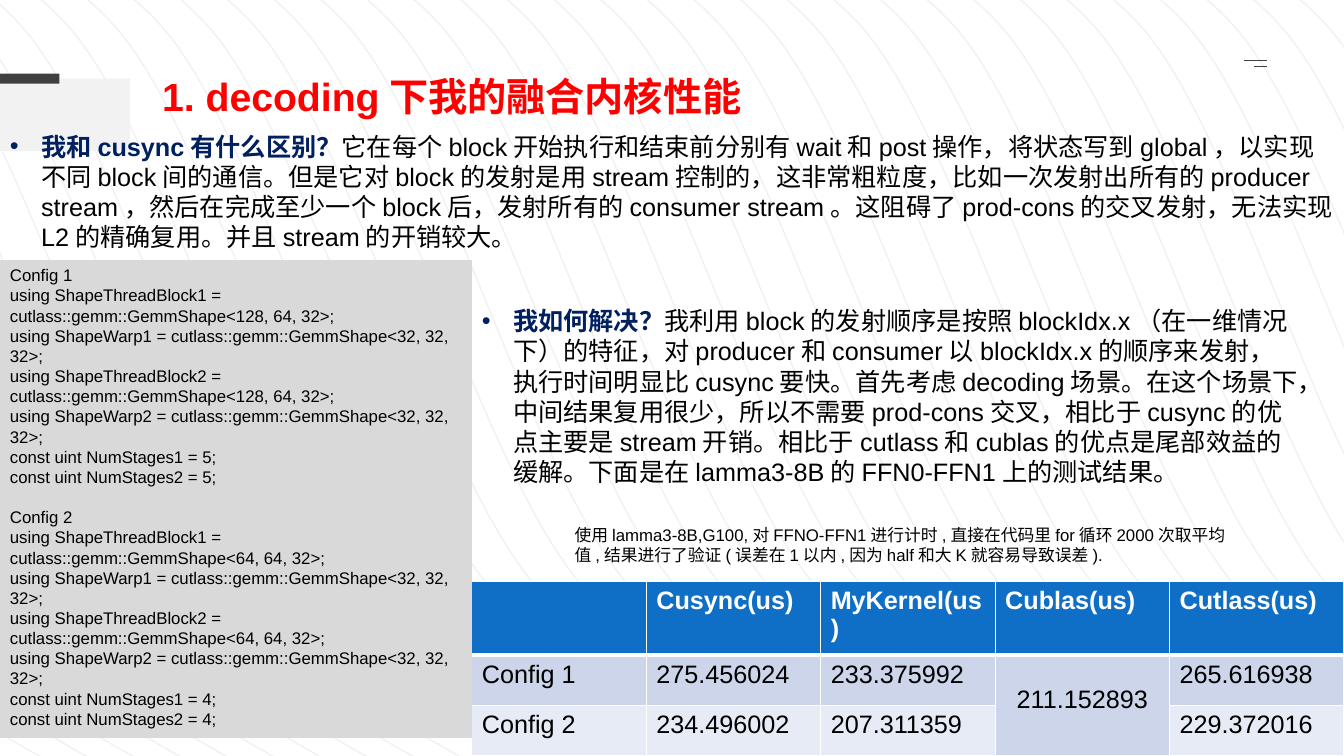
from dataclasses import dataclass
from typing import Optional

import lxml.etree
import pptx
import pptx.dml.color
import pptx.enum.shapes
import pptx.enum.text
import pptx.oxml.ns
import pptx.util

Inches = pptx.util.Inches
Pt = pptx.util.Pt
qn = pptx.oxml.ns.qn


@dataclass(frozen=True)
class Theme:
    font: str = "Arial"
    title_size: int = 28
    body_size: int = 18
    small_size: int = 12
    black: str = "000000"
    white: str = "FFFFFF"
    red: str = "FF0000"
    navy: str = "002060"
    blue: str = "0F6FC6"
    dark_grey: str = "404040"
    panel_grey: str = "D9D9D9"
    pale_grey: str = "F2F2F2"
    row_tints: tuple[str, str] = ("CCD5EA", "E7EBF5")


@dataclass(frozen=True)
class Box:
    left: float
    top: float
    width: float
    height: float

    def lengths(self) -> tuple:
        return tuple(Inches(v) for v in (self.left, self.top, self.width, self.height))


@dataclass(frozen=True)
class BulletNote:
    box: Box
    question: str
    answer: str


@dataclass(frozen=True)
class KernelConfig:
    number: int
    rows: int
    stages: int

    def lines(self) -> list[str]:
        lines = [f"Config {self.number}"]
        for part in (1, 2):
            lines.append(f"using ShapeThreadBlock{part} = cutlass::gemm::GemmShape<{self.rows}, 64, 32>;")
            lines.append(f"using ShapeWarp{part} = cutlass::gemm::GemmShape<32, 32, 32>;")
        return lines + [f"const uint NumStages{part} = {self.stages};" for part in (1, 2)]


THEME = Theme()

NOTES = (
    BulletNote(
        Box(0, 1.25, 13.33, 1.61),
        "我和cusync有什么区别？",
        "它在每个block开始执行和结束前分别有wait和post操作，将状态写到global，以实现不同block间的通信。"
        "但是它对block的发射是用stream控制的，这非常粗粒度，比如一次发射出所有的producer stream，"
        "然后在完成至少一个block后，发射所有的consumer stream。这阻碍了prod-cons的交叉发射，"
        "无法实现L2的精确复用。并且stream的开销较大。"),
    BulletNote(
        Box(4.68, 2.98, 8.31, 1.92),
        "我如何解决？",
        "我利用block的发射顺序是按照blockIdx.x（在一维情况下）的特征，对producer和consumer以blockIdx.x的顺序来发射，"
        "执行时间明显比cusync要快。首先考虑decoding场景。在这个场景下，中间结果复用很少，所以不需要prod-cons交叉，"
        "相比于cusync的优点主要是stream开销。相比于cutlass和cublas的优点是尾部效益的缓解。"
        "下面是在lamma3-8B的FFN0-FFN1上的测试结果。"),
)
CONFIGS = (KernelConfig(1, 128, 5), KernelConfig(2, 64, 4))
TIMINGS = (
    ("", "Cusync(us)", "MyKernel(us)", "Cublas(us)", "Cutlass(us)"),
    ("Config 1", "275.456024", "233.375992", "211.152893", "265.616938"),
    ("Config 2", "234.496002", "207.311359", "", "229.372016"),
)

# Background wave: a start point, then cubic segments of three points each
WAVE = ((0, -0.27), (0.93, -0.51), (1.86, -0.75), (2.77, 0.24), (3.68, 1.23),
        (4.5, 4.38), (5.46, 5.67), (6.42, 6.96), (7.48, 7.47), (8.54, 7.98))
WAVE_COUNT, WAVE_FIRST, WAVE_LAST = 40, -7.2, 10.84


def rgb(colour: str) -> pptx.dml.color.RGBColor:
    return pptx.dml.color.RGBColor.from_string(colour)


def style(font, size: int, colour: Optional[str] = None, bold: Optional[bool] = None) -> None:
    font.name, font.size, font.bold = THEME.font, Pt(size), bold
    if colour:
        font.color.rgb = rgb(colour)


def curve_segments(shape) -> None:
    """Turn every three straight segments of a freeform into one cubic curve."""
    segments = list(shape._element.iter(qn("a:lnTo")))
    for start in range(0, len(segments), 3):
        curve = lxml.etree.Element(qn("a:cubicBezTo"))
        segments[start].addprevious(curve)
        for segment in segments[start:start + 3]:
            curve.append(segment[0])
            segment.getparent().remove(segment)


def add_waves(slide) -> None:
    gap = (WAVE_LAST - WAVE_FIRST) / (WAVE_COUNT - 1)
    for index in range(WAVE_COUNT):
        offset = WAVE_FIRST + index * gap
        vertices = [(Inches(x + offset), Inches(y)) for x, y in WAVE]
        builder = slide.shapes.build_freeform(*vertices[0])
        builder.add_line_segments(vertices[1:], close=False)
        wave = builder.convert_to_shape()
        curve_segments(wave)
        wave.shadow.inherit = False
        wave.fill.background()
        wave.line.width = Pt(1)
        wave.line.color.rgb = rgb(THEME.panel_grey)
        colour = next(wave.line._ln.iter(qn("a:srgbClr")))
        lxml.etree.SubElement(colour, qn("a:alpha"), val="34000")


def add_rectangle(slide, box: Box, colour: str):
    shape = slide.shapes.add_shape(pptx.enum.shapes.MSO_SHAPE.RECTANGLE, *box.lengths())
    shape.shadow.inherit = False
    shape.fill.solid()
    shape.fill.fore_color.rgb = rgb(colour)
    shape.line.fill.background()
    return shape


def add_rule(slide, left: float, right: float, top: float) -> None:
    rule = slide.shapes.add_connector(
        pptx.enum.shapes.MSO_CONNECTOR.STRAIGHT, Inches(left), Inches(top), Inches(right), Inches(top))
    rule.line.color.rgb = rgb(THEME.dark_grey)
    rule.line.width = Pt(1)
    lxml.etree.SubElement(rule._element.spPr, qn("a:effectLst"))


def add_paragraph_box(slide, box: Box):
    frame = slide.shapes.add_textbox(*box.lengths()).text_frame
    frame.word_wrap = True
    return frame.paragraphs[0]


def add_text(slide, box: Box, text: str, size: int, colour: str, bold: bool = False) -> None:
    paragraph = add_paragraph_box(slide, box)
    paragraph.text = text
    style(paragraph.font, size, colour, bold)


def add_note(slide, note: BulletNote) -> None:
    paragraph = add_paragraph_box(slide, note.box)
    properties = paragraph._p.get_or_add_pPr()
    properties.set("marL", str(Inches(0.31)))
    properties.set("indent", str(Inches(-0.31)))
    lxml.etree.SubElement(properties, qn("a:buFont"), typeface=THEME.font)
    lxml.etree.SubElement(properties, qn("a:buChar"), char="•")
    style(paragraph.font, THEME.body_size)
    for text, colour, bold in ((note.question, THEME.navy, True), (note.answer, THEME.black, False)):
        run = paragraph.add_run()
        run.text = text
        run.font.bold = bold
        run.font.color.rgb = rgb(colour)


def add_code_panel(slide, box: Box) -> None:
    frame = add_rectangle(slide, box, THEME.panel_grey).text_frame
    frame.word_wrap = True
    frame.vertical_anchor = pptx.enum.text.MSO_ANCHOR.TOP
    for config in CONFIGS:
        for position, line in enumerate(config.lines()):
            first = config is CONFIGS[0] and position == 0
            paragraph = frame.paragraphs[0] if first else frame.add_paragraph()
            paragraph.text = line
            paragraph.alignment = pptx.enum.text.PP_ALIGN.LEFT
            if position == 0 and not first:
                paragraph.space_before = Pt(14.4)
            style(paragraph.font, THEME.small_size, THEME.black)


def add_borders(cell, header: bool) -> None:
    properties = cell._tc.get_or_add_tcPr()
    for index, side in enumerate(("lnL", "lnR", "lnT", "lnB")):
        width = Pt(3) if header and side == "lnB" else Pt(1)
        border = lxml.etree.Element(qn(f"a:{side}"), w=str(width))
        fill = lxml.etree.SubElement(border, qn("a:solidFill"))
        lxml.etree.SubElement(fill, qn("a:srgbClr"), val=THEME.white)
        properties.insert(index, border)


def add_timing_table(slide, box: Box) -> None:
    table = slide.shapes.add_table(len(TIMINGS), len(TIMINGS[0]), *box.lengths()).table
    for row, height in zip(table.rows, (0.73, 0.5, 0.5)):
        row.height = Inches(height)
    for row_index, values in enumerate(TIMINGS):
        header = row_index == 0
        for column_index, value in enumerate(values):
            cell = table.cell(row_index, column_index)
            cell.fill.solid()
            cell.fill.fore_color.rgb = rgb(THEME.blue if header else THEME.row_tints[row_index - 1])
            add_borders(cell, header)
            paragraph = cell.text_frame.paragraphs[0]
            paragraph.text = value
            style(paragraph.font, THEME.body_size, THEME.white if header else THEME.black, header)
    # One Cublas time covers both configurations
    shared = table.cell(1, 3)
    shared.merge(table.cell(2, 3))
    paragraph = shared.text_frame.paragraphs[0]
    paragraph.alignment = pptx.enum.text.PP_ALIGN.CENTER
    paragraph.line_spacing = 1.9


def main() -> None:
    presentation = pptx.Presentation()
    presentation.slide_width, presentation.slide_height = Inches(13.33), Inches(7.5)
    slide = presentation.slides.add_slide(presentation.slide_layouts[6])

    # Background and corner decoration
    add_waves(slide)
    add_rectangle(slide, Box(-0.38, 0.78, 1.67, 0.72), THEME.pale_grey)
    add_rectangle(slide, Box(0, 0.73, 0.59, 0.1), THEME.dark_grey)
    add_rule(slide, 12.34, 12.57, 0.6)
    add_rule(slide, 12.44, 12.57, 0.66)

    # Title, explanation, configurations and results
    add_text(slide, Box(1.51, 0.67, 6.36, 0.57), "1. decoding下我的融合内核性能",
             THEME.title_size, THEME.red, True)
    add_timing_table(slide, Box(4.68, 5.77, 8.65, 1.73))
    add_code_panel(slide, Box(0, 2.58, 4.68, 4.74))
    for note in NOTES:
        add_note(slide, note)
    add_text(slide, Box(5.6, 5.16, 6.67, 0.5),
             "使用lamma3-8B,G100,对FFNO-FFN1进行计时,直接在代码里for循环2000次取平均值,"
             "结果进行了验证(误差在1以内,因为half和大K就容易导致误差).",
             THEME.small_size, THEME.black)
    presentation.save("out.pptx")


if __name__ == "__main__":
    main()
